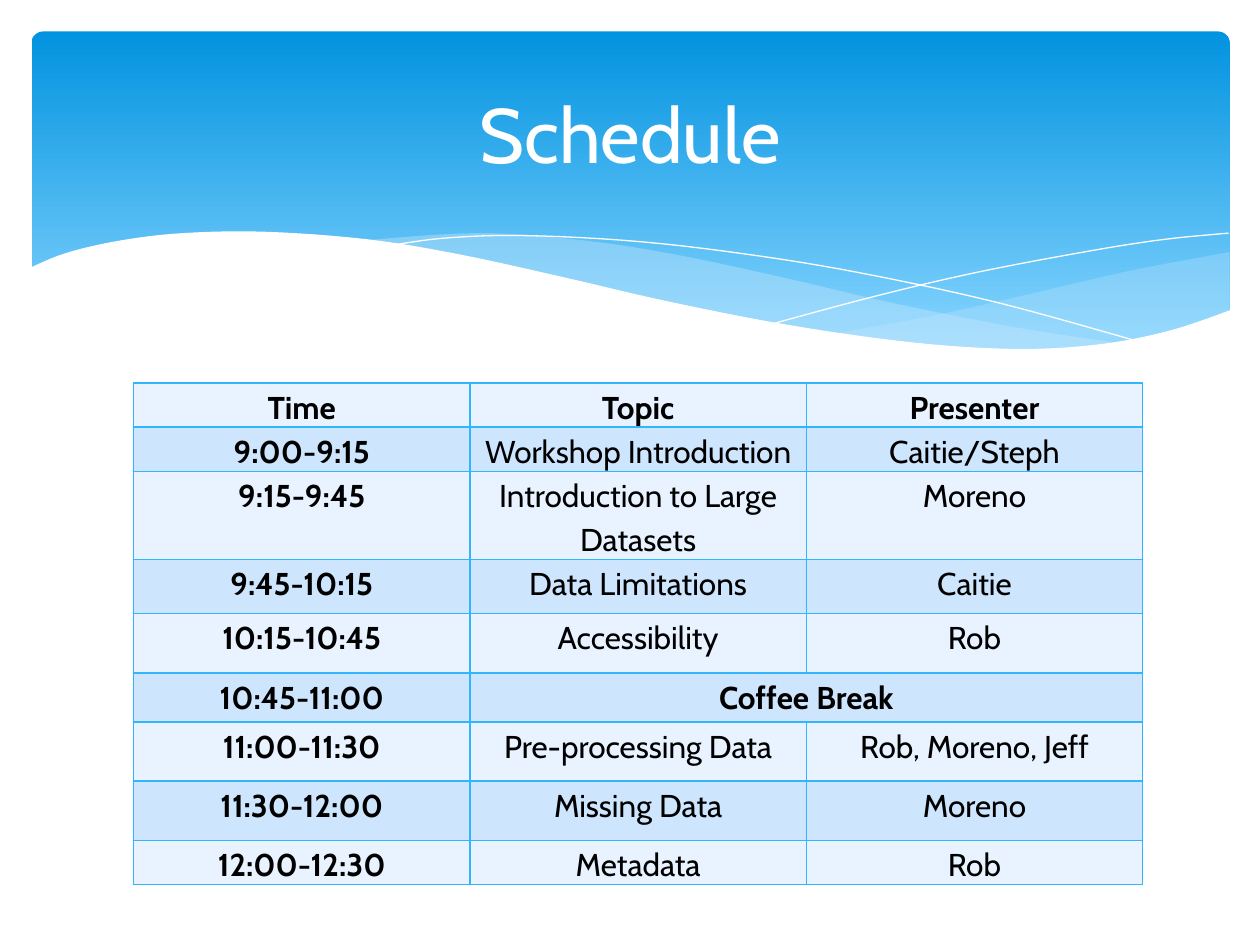
import collections
import pptx
import pptx.dml.color
import pptx.enum.shapes
import pptx.enum.text
import pptx.oxml
import pptx.oxml.ns
import pptx.util

Box = collections.namedtuple("Box", "left top width height")
COLUMNS, ROWS = 100, 75
UNIT = pptx.util.Inches(10) // COLUMNS
FONT = "Cabin"
COLORS = {
    "white": "FFFFFF",
    "black": "000000",
    "band_top": "0293E0",
    "band_bottom": "83D3FE",
    "wave": "C6E7FC",
    "border": "31B6FD",
    "light_row": "E8F3FF",
    "dark_row": "CEE5FE",
}

RIGHT_WAVE = [
    [(95.1, 17.5), (88.1, 18.8), (83.6, 19.8), (72.8, 22.3), (63.6, 24)],
    [(63.6, 24), (69.4, 24.6), (75.6, 25.2), (81, 25.2), (86.4, 24.7),
     (91, 23.7), (95.1, 22.2)],
]
MIDDLE_WAVE = [
    [(86.8, 24.8), (78.2, 23.5), (68.1, 21.5), (60.4, 19.7), (51.6, 17.8),
     (44, 16.6), (35.5, 16), (26.1, 16.6)],
    [(26.1, 16.6), (31.7, 17.4), (37.9, 18.6), (46.6, 20.7), (55.9, 22.7),
     (64, 24.1), (72.3, 25.1), (79.3, 25.3), (86.8, 24.8)],
]
FALLING_LINE = [
    [(28.4, 17), (32.8, 16.4), (39.1, 16.2), (48.5, 16.7), (58.3, 17.9),
     (67, 19.4), (77, 21.6), (88.2, 24.7)],
]
RISING_LINE = [
    [(58.8, 23.2), (67, 21), (75.1, 19.1), (84.1, 17.4), (89.9, 16.5), (95, 16)],
]
LOWER_EDGE = [
    [(95.2, 22.1), (90.5, 23.7), (85, 24.8), (78.4, 25.2), (70.1, 24.7),
     (60.1, 23.3), (50.4, 21.4), (42.2, 19.5), (34, 17.7), (26.7, 16.5),
     (18.6, 15.9), (12.1, 16), (7, 16.6), (2.7, 17.6), (-0.2, 18.8)],
    [(-0.2, 30.4), (95.2, 30.4)],
]

SCHEDULE = [
    ("Time", "Topic", "Presenter"),
    ("9:00-9:15", "Workshop Introduction", "Caitie/Steph"),
    ("9:15-9:45", "Introduction to Large Datasets", "Moreno"),
    ("9:45-10:15", "Data Limitations", "Caitie"),
    ("10:15-10:45", "Accessibility", "Rob"),
    ("10:45-11:00", "Coffee Break"),
    ("11:00-11:30", "Pre-processing Data", "Rob, Moreno, Jeff"),
    ("11:30-12:00", "Missing Data", "Moreno"),
    ("12:00-12:30", "Metadata", "Rob"),
]
ROW_HEIGHTS = [3.5, 3.5, 7, 4.3, 4.7, 3.9, 4.7, 4.7, 3.5]


def rgb(name):
    return pptx.dml.color.RGBColor.from_string(COLORS[name])


def grid(value):
    return round(value * UNIT)


def place(box):
    return [grid(value) for value in box]


def set_attributes(target, values):
    for name, value in values.items():
        setattr(target, name, value)


def smooth(points, steps=6):
    padded = [points[0], *points, points[-1]]
    curve = [points[0]]
    for before, start, end, after in zip(padded, padded[1:], padded[2:], padded[3:]):
        for step in range(1, steps + 1):
            t = step / steps
            curve.append(tuple(
                (2 * b + (c - a) * t + (2 * a - 5 * b + 4 * c - d) * t ** 2
                 + (3 * b - a - 3 * c + d) * t ** 3) / 2
                for a, b, c, d in zip(before, start, end, after)))
    return curve


def write(text_frame, text, size, color, bold=False, spacing=None):
    paragraph = text_frame.paragraphs[0]
    set_attributes(paragraph, {
        "alignment": pptx.enum.text.PP_ALIGN.CENTER, "line_spacing": spacing})
    run = paragraph.add_run()
    run.text = text
    set_attributes(run.font, {"name": FONT, "size": pptx.util.Pt(size), "bold": bold})
    run.font.color.rgb = rgb(color)


def add_curve(slide, box, parts, fill=None, opacity=100):
    points = [(grid(box.left + x), grid(box.top + y))
              for part in parts for x, y in smooth(part)]
    builder = slide.shapes.build_freeform(*points[0])
    builder.add_line_segments(points[1:], close=fill is not None)
    shape = builder.convert_to_shape()
    shape.shadow.inherit = False
    if fill is None:
        shape.fill.background()
        shape.line.color.rgb = rgb("white")
        shape.line.width = 0
        return
    shape.line.fill.background()
    shape.fill.solid()
    shape.fill.fore_color.rgb = rgb(fill)
    if opacity < 100:
        color = shape.fill._xPr.find(".//" + pptx.oxml.ns.qn("a:srgbClr"))
        color.append(pptx.oxml.parse_xml(
            f'<a:alpha {pptx.oxml.ns.nsdecls("a")} val="{opacity * 1000}"/>'))


def add_band(slide, box):
    band = slide.shapes.add_shape(
        pptx.enum.shapes.MSO_SHAPE.ROUNDED_RECTANGLE, *place(box))
    band.adjustments[0] = 0.034
    band.shadow.inherit = False
    band.line.fill.background()
    band.fill.gradient()
    band.fill.gradient_angle = 270
    stops = [("band_top", 0), ("band_bottom", 0.9)]
    for stop, (color, position) in zip(band.fill.gradient_stops, stops):
        stop.color.rgb = rgb(color)
        stop.position = position
    add_curve(slide, box, RIGHT_WAVE, "wave", 29)
    add_curve(slide, box, MIDDLE_WAVE, "wave", 40)
    add_curve(slide, box, FALLING_LINE)
    add_curve(slide, box, RISING_LINE)
    add_curve(slide, box, LOWER_EDGE, "white")


def add_title(slide, box):
    text_frame = slide.shapes.add_textbox(*place(box)).text_frame
    set_attributes(text_frame, {
        "word_wrap": True, "vertical_anchor": pptx.enum.text.MSO_ANCHOR.MIDDLE})
    write(text_frame, "Schedule", 44, "white")


def format_cell(cell, fill):
    set_attributes(cell, {"margin_left": grid(0.7), "margin_right": grid(0.7),
                          "margin_top": 0, "margin_bottom": 0})
    properties = cell._tc.get_or_add_tcPr()
    for side in ("lnL", "lnR", "lnT", "lnB"):
        properties.append(pptx.oxml.parse_xml(
            f'<a:{side} {pptx.oxml.ns.nsdecls("a")} w="{pptx.util.Pt(1)}"><a:solidFill>'
            f'<a:srgbClr val="{COLORS["border"]}"/></a:solidFill></a:{side}>'))
    cell.fill.solid()
    cell.fill.fore_color.rgb = rgb(fill)


def add_schedule(slide, box):
    column_count = len(SCHEDULE[0])
    table = slide.shapes.add_table(len(SCHEDULE), column_count, *place(box)).table
    for column in table.columns:
        column.width = grid(box.width / column_count)
    for index, (entries, height) in enumerate(zip(SCHEDULE, ROW_HEIGHTS)):
        table.rows[index].height = grid(height)
        is_break = len(entries) < column_count
        for column in range(column_count):
            format_cell(table.cell(index, column),
                        "dark_row" if index % 2 else "light_row")
        if is_break:
            table.cell(index, 1).merge(table.cell(index, column_count - 1))
        for column, text in enumerate(entries):
            bold = index == 0 or column == 0 or is_break
            write(table.cell(index, column).text_frame, text, 18, "black", bold, 1.15)


def main():
    presentation = pptx.Presentation()
    set_attributes(presentation, {
        "slide_width": grid(COLUMNS), "slide_height": grid(ROWS)})
    slide = presentation.slides.add_slide(presentation.slide_layouts[6])
    add_band(slide, Box(2.5, 2.5, 95.1, 27))
    add_title(slide, Box(5, 3.7, 90, 13.7))
    add_schedule(slide, Box(10.6, 30.4, 80.1, sum(ROW_HEIGHTS)))
    presentation.save("out.pptx")


if __name__ == "__main__":
    main()
